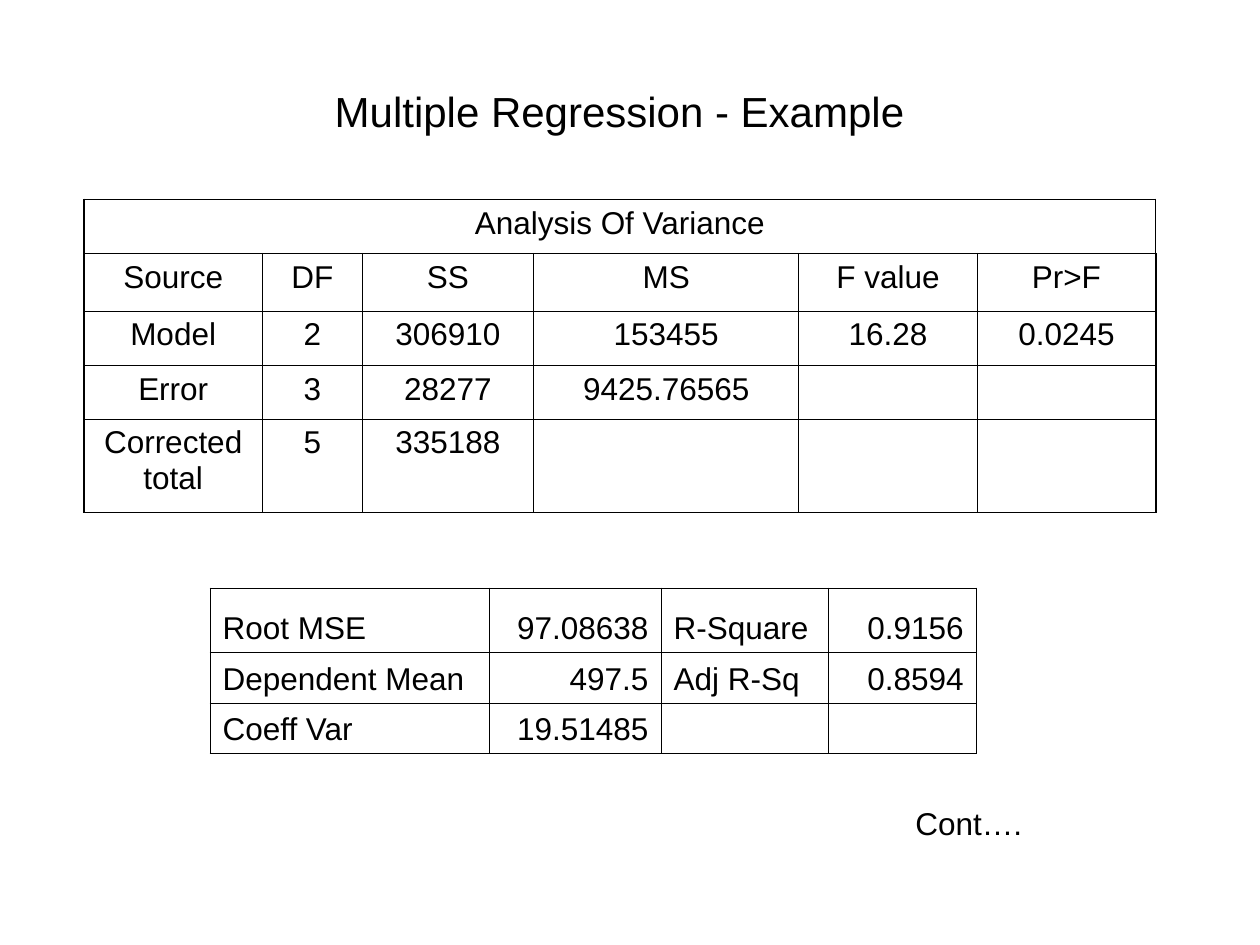
"""Build a slide with the variance analysis of a multiple regression."""
from dataclasses import dataclass

import lxml.etree
import pptx
import pptx.dml.color
import pptx.enum.text
import pptx.oxml.ns
import pptx.util

Pt = pptx.util.Pt
Align = pptx.enum.text.PP_ALIGN
Anchor = pptx.enum.text.MSO_ANCHOR


@dataclass(frozen=True)
class Theme:
    font: str = "Arial"
    ink: str = "000000"
    paper: str = "FFFFFF"
    title_size: float = 24
    body_size: float = 18
    thin: float = 0.45
    thick: float = 1.08


class SlideBuilder:
    def __init__(self, slide, theme):
        self.slide = slide
        self.theme = theme

    def style(self, paragraph, size, align=Align.LEFT, before=0):
        paragraph.alignment = align
        paragraph.space_before = Pt(before)
        paragraph.font.name = self.theme.font
        paragraph.font.size = Pt(size)
        paragraph.font.color.rgb = pptx.dml.color.RGBColor.from_string(self.theme.ink)

    def title(self, text, left, top, width, height):
        shape = self.slide.shapes.title
        shape.left, shape.top, shape.width, shape.height = map(Pt, (left, top, width, height))
        shape.text_frame.text = text
        shape.text_frame.vertical_anchor = Anchor.MIDDLE
        self.style(shape.text_frame.paragraphs[0], self.theme.title_size, Align.CENTER)

    def text(self, text, left, top, width, height, before):
        shape = self.slide.shapes.add_textbox(*map(Pt, (left, top, width, height)))
        shape.text_frame.word_wrap = True
        shape.text_frame.text = text
        self.style(shape.text_frame.paragraphs[0], self.theme.body_size, before=before)

    def borders(self, cell, widths):
        properties = cell._tc.get_or_add_tcPr()
        for index, (side, width) in enumerate(zip("LRTB", widths)):
            line = lxml.etree.Element(pptx.oxml.ns.qn(f"a:ln{side}"), w=str(Pt(width)))
            fill = lxml.etree.SubElement(line, pptx.oxml.ns.qn("a:solidFill"))
            lxml.etree.SubElement(fill, pptx.oxml.ns.qn("a:srgbClr"), val=self.theme.ink)
            properties.insert(index, line)

    def table(self, rows, left, top, widths, heights, aligns, anchor, before, edge):
        frame = self.slide.shapes.add_table(
            len(rows), len(widths), *map(Pt, (left, top, sum(widths), sum(heights))))
        table = frame.table
        table.first_row = table.horz_banding = False
        for column, width in zip(table.columns, widths):
            column.width = Pt(width)
        for row, height in zip(table.rows, heights):
            row.height = Pt(height)
        last_row, last_column = len(rows) - 1, len(widths) - 1
        for r, values in enumerate(rows):
            for c, value in enumerate(values):
                cell = table.cell(r, c)
                cell.text = value
                cell.vertical_anchor = anchor
                cell.fill.solid()
                cell.fill.fore_color.rgb = pptx.dml.color.RGBColor.from_string(self.theme.paper)
                self.style(cell.text_frame.paragraphs[0], self.theme.body_size, aligns[c], before)
                outer = (c == 0, c == last_column, r == 0, r == last_row)
                self.borders(cell, [edge if side else self.theme.thin for side in outer])
        return table


def main():
    presentation = pptx.Presentation()
    presentation.slide_width, presentation.slide_height = Pt(720), Pt(540)
    theme = Theme()
    slide = presentation.slides.add_slide(presentation.slide_layouts[5])
    builder = SlideBuilder(slide, theme)

    variance = [
        ["Analysis Of Variance", "", "", "", "", ""],
        ["Source", "DF", "SS", "MS", "F value", "Pr>F"],
        ["Model", "2", "306910", "153455", "16.28", "0.0245"],
        ["Error", "3", "28277", "9425.76565", "", ""],
        ["Corrected total", "5", "335188", "", "", ""],
    ]
    variance_table = builder.table(
        variance, 48, 114, [102, 57, 98, 151.5, 102, 102], [30.75, 33, 31, 30.75, 53.5],
        [Align.CENTER] * 6, Anchor.TOP, 4.5, theme.thick)
    variance_table.cell(0, 0).merge(variance_table.cell(0, 5))

    fit = [
        ["Root MSE", "97.08638", "R-Square", "0.9156"],
        ["Dependent Mean", "497.5", "Adj R-Sq", "0.8594"],
        ["Coeff Var", "19.51485", "", ""],
    ]
    builder.table(
        fit, 120, 336, [159.75, 98, 95.75, 84.5], [36.75, 29, 29],
        [Align.LEFT, Align.RIGHT] * 2, Anchor.BOTTOM, 0, theme.thin)

    builder.text("Cont….", 516, 456, 108, 29, 11.2)
    builder.title("Multiple Regression - Example", 30, 48, 648, 30)
    presentation.save("out.pptx")


if __name__ == "__main__":
    main()
